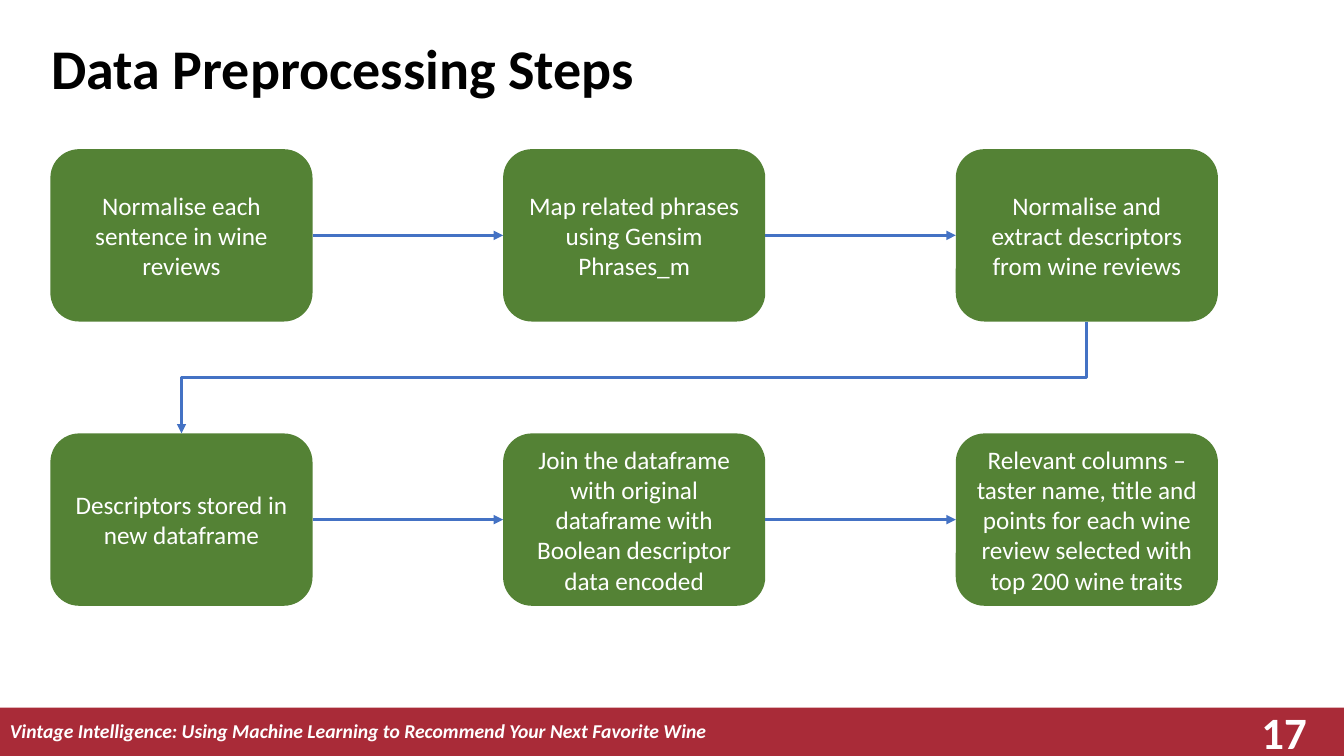
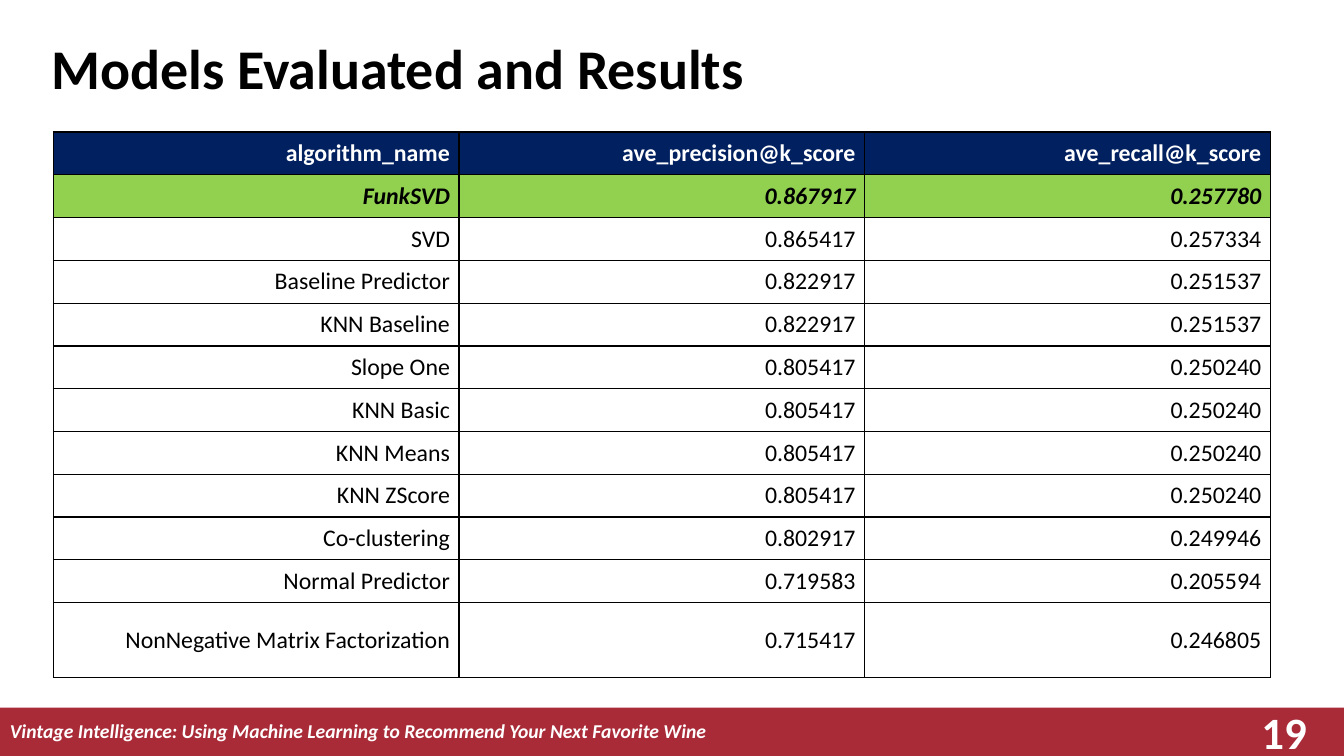
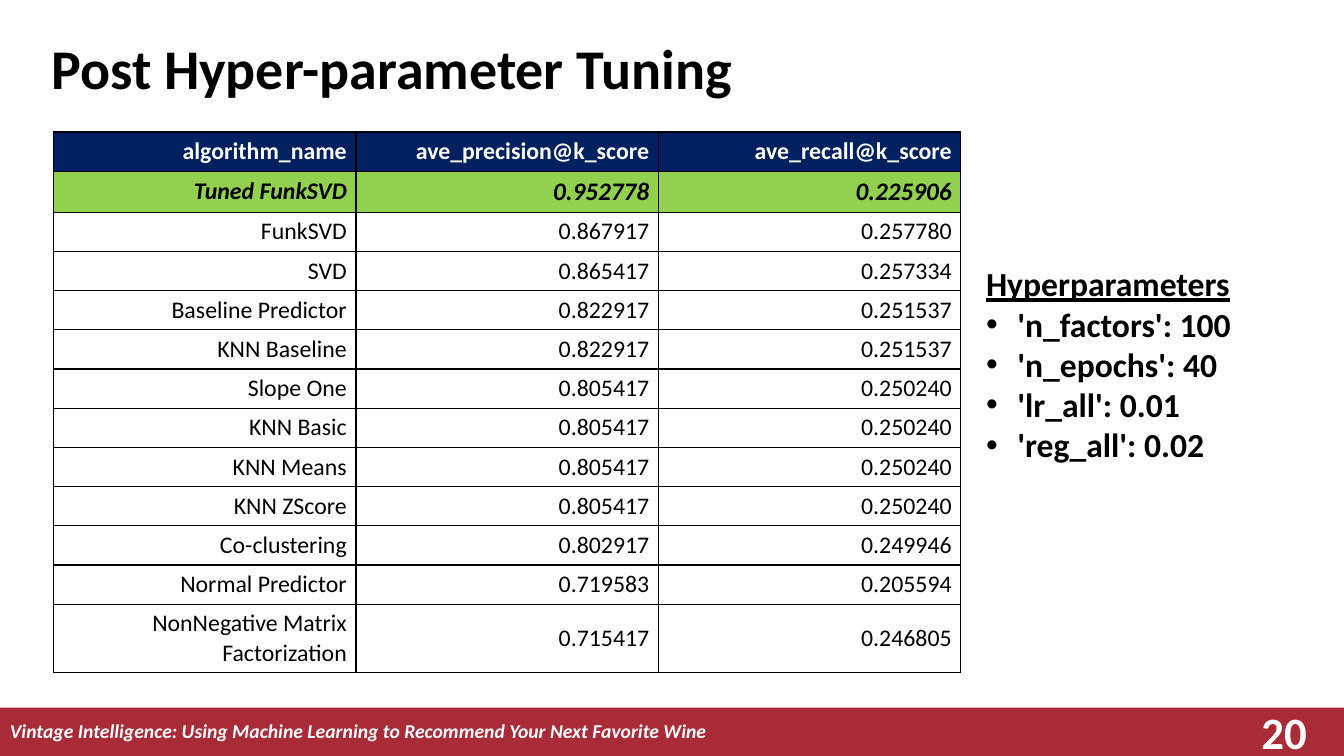
import dataclasses
import itertools

import pptx
import pptx.dml.color
import pptx.enum.shapes
import pptx.enum.text
import pptx.oxml.ns
import pptx.util
from pptx.util import Inches

ALIGN = pptx.enum.text.PP_ALIGN
ANCHOR = pptx.enum.text.MSO_ANCHOR
SHAPE = pptx.enum.shapes.MSO_SHAPE
LINK = pptx.enum.shapes.MSO_CONNECTOR
TOP, LEFT, BOTTOM, RIGHT = range(4)


@dataclasses.dataclass(frozen=True)
class Theme:
    font: str = "Calibri"
    black: str = "000000"
    white: str = "FFFFFF"
    band: str = "A92B38"
    step: str = "548235"
    arrow: str = "4472C4"
    head: str = "002060"
    best: str = "92D050"
    title: int = 40
    number: int = 32
    list: int = 24
    label: int = 18
    cell: int = 17
    footer: int = 14
    stroke: float = 2.25


THEME = Theme()
WIDTH, HEIGHT = 13.33, 7.5
BAND = (0, 7.02, WIDTH, 0.48)
FOOTER = ("Vintage Intelligence: Using Machine Learning "
          "to Recommend Your Next Favorite Wine")

STEPS = [
    ["Normalise each sentence in wine reviews",
     "Map related phrases using Gensim Phrases_m",
     "Normalise and extract descriptors from wine reviews"],
    ["Descriptors stored in new dataframe",
     "Join the dataframe with original dataframe with Boolean descriptor "
     "data encoded",
     "Relevant columns – taster name, title and points for each wine review "
     "selected with top 200 wine traits"],
]
HEADS = ("algorithm_name", "ave_precision@k_score", "ave_recall@k_score")
SCORES = [
    ("FunkSVD", "0.867917", "0.257780"),
    ("SVD", "0.865417", "0.257334"),
    ("Baseline Predictor", "0.822917", "0.251537"),
    ("KNN Baseline", "0.822917", "0.251537"),
    ("Slope One", "0.805417", "0.250240"),
    ("KNN Basic", "0.805417", "0.250240"),
    ("KNN Means", "0.805417", "0.250240"),
    ("KNN ZScore", "0.805417", "0.250240"),
    ("Co-clustering", "0.802917", "0.249946"),
    ("Normal Predictor", "0.719583", "0.205594"),
    ("NonNegative Matrix Factorization", "0.715417", "0.246805"),
]
TUNED = ("Tuned FunkSVD", "0.952778", "0.225906")
PARAMS = ["'n_factors': 100", "'n_epochs': 40", "'lr_all': 0.01",
          "'reg_all': 0.02"]


def color(code):
    return pptx.dml.color.RGBColor.from_string(code)


def inches(box):
    return [Inches(value) for value in box]


def paint(part, code):
    part.fill.solid()
    part.fill.fore_color.rgb = color(code)


def child(parent, tag, **attrs):
    """Append a drawing element with the given attributes."""
    node = parent.makeelement(pptx.oxml.ns.qn(tag), attrs)
    parent.append(node)
    return node


def write(para, text, size, code, bold=False, italic=False, under=False,
          align=ALIGN.LEFT):
    para.alignment = align
    run = para.add_run()
    run.text = text
    font = run.font
    font.name, font.size = THEME.font, pptx.util.Pt(size)
    font.bold, font.italic, font.underline = bold, italic, under
    font.color.rgb = color(code)


def frame(shape, anchor):
    """Set up the text frame of a shape and return its first paragraph."""
    text = shape.text_frame
    text.word_wrap = True
    text.auto_size = pptx.enum.text.MSO_AUTO_SIZE.NONE
    text.vertical_anchor = anchor
    return text.paragraphs[0]


def place(shape, box):
    shape.left, shape.top, shape.width, shape.height = inches(box)


def panel(slide, kind, box, fill):
    shape = slide.shapes.add_shape(kind, *inches(box))
    shape.shadow.inherit = False
    paint(shape, fill)
    shape.line.fill.background()
    return shape


def footer(slide, box, number):
    left, top, width, height = box
    band = panel(slide, SHAPE.RECTANGLE, box, THEME.band)
    para = frame(band, ANCHOR.MIDDLE)
    para.line_spacing, para.space_after = 0.9, pptx.util.Pt(6)
    write(para, FOOTER, THEME.footer, THEME.white, bold=True, italic=True)
    spot = (left + width - 1.14, top + 0.04, 0.87, 0.4)
    page = slide.shapes.add_textbox(*inches(spot))
    write(frame(page, ANCHOR.MIDDLE), str(number), THEME.number, THEME.white,
          bold=True, align=ALIGN.RIGHT)


def start(deck, layout, title, number):
    """Add a slide with its title and footer."""
    slide = deck.slides.add_slide(deck.slide_layouts.get_by_name(layout))
    footer(slide, BAND, number)
    holder = slide.shapes.title
    place(holder, (0.41, 0.28, 10.15, 0.77))
    write(frame(holder, ANCHOR.TOP), title, THEME.title, THEME.black,
          bold=True)
    return slide


def join(slide, kind, first, out, second, into):
    """Draw an arrow between the given sides of two boxes."""
    link = slide.shapes.add_connector(kind, 0, 0, 0, 0)
    link.begin_connect(first, out)
    link.end_connect(second, into)
    link.line.color.rgb = color(THEME.arrow)
    link.line.width = pptx.util.Pt(THEME.stroke)
    child(link.line._get_or_add_ln(), "a:tailEnd", type="triangle")
    child(link.element.spPr, "a:effectLst")
    return link


def turn(link):
    """Turn an elbow by 90 degrees so it leaves downward, ending lower left."""
    wide, high = link.width, link.height
    mid, centre = link.left + wide // 2, link.top + high // 2
    link.left, link.top = mid - high // 2, centre - wide // 2
    link.width, link.height = high, wide
    form = link.element.spPr.find(pptx.oxml.ns.qn("a:xfrm"))
    form.attrib.pop("flipH", None)
    form.set("rot", str(90 * 60000))


def flow(slide, box, rows, size):
    """Spread steps over a box in a grid, joined in reading order."""
    left, top, width, height = box
    wide, high = size
    across = (width - wide) / (len(rows[0]) - 1)
    down = (height - high) / (len(rows) - 1)
    grid = []
    for row, labels in enumerate(rows):
        line = []
        for col, label in enumerate(labels):
            spot = (left + col * across, top + row * down, wide, high)
            step = panel(slide, SHAPE.ROUNDED_RECTANGLE, spot, THEME.step)
            write(frame(step, ANCHOR.MIDDLE), label, THEME.label, THEME.white,
                  align=ALIGN.CENTER)
            line.append(step)
        for first, second in itertools.pairwise(line):
            join(slide, LINK.STRAIGHT, first, RIGHT, second, LEFT)
        grid.append(line)
    for upper, lower in itertools.pairwise(grid):
        turn(join(slide, LINK.ELBOW, upper[-1], BOTTOM, lower[0], TOP))


def border(cell):
    props = cell._tc.get_or_add_tcPr()
    for spot, side in enumerate(("a:lnL", "a:lnR", "a:lnT", "a:lnB")):
        edge = child(props, side, w=str(pptx.util.Pt(1)))
        child(child(edge, "a:solidFill"), "a:srgbClr", val=THEME.black)
        props.insert(spot, edge)


def scores(slide, box, rows, last, best):
    """Fill a box with a score table; best is the size of the top scores."""
    cells = [HEADS, *rows]
    count = len(cells)
    table = slide.shapes.add_table(count, len(HEADS), *inches(box)).table
    table.first_row = table.horz_banding = False
    for col in table.columns:
        col.width = Inches(box[2] / len(HEADS))
    for row in table.rows:
        row.height = Inches((box[3] - last) / (count - 1))
    table.rows[count - 1].height = Inches(last)
    for row, values in enumerate(cells):
        fill = {0: THEME.head, 1: THEME.best}.get(row, THEME.white)
        for col, value in enumerate(values):
            cell = table.cell(row, col)
            paint(cell, fill)
            border(cell)
            cell.vertical_anchor = ANCHOR.MIDDLE
            cell.margin_left = cell.margin_right = Inches(0.09)
            write(cell.text_frame.paragraphs[0], value,
                  best if row == 1 and col else THEME.cell,
                  THEME.black if row else THEME.white,
                  bold=row < 2, italic=row == 1, align=ALIGN.RIGHT)


def params(slide, box, head, items):
    """Put an underlined heading and its bullets in the body placeholder."""
    body = slide.placeholders[1]
    place(body, box)
    para = frame(body, ANCHOR.TOP)
    for row, text in enumerate([head, *items]):
        if row:
            para = body.text_frame.add_paragraph()
        para.space_before = pptx.util.Pt(0)
        props = para._p.get_or_add_pPr()
        indent = Inches(0.31) if row else 0
        props.set("marL", str(indent))
        props.set("indent", str(-indent))
        if row:
            child(props, "a:buFont", typeface="Arial")
            child(props, "a:buChar", char="•")
        else:
            child(props, "a:buNone")
        write(para, text, THEME.list, THEME.black, bold=True, under=row == 0)


def main():
    deck = pptx.Presentation()
    deck.slide_width, deck.slide_height = Inches(WIDTH), Inches(HEIGHT)

    slide = start(deck, "Title Only", "Data Preprocessing Steps", 17)
    flow(slide, (0.5, 1.48, 11.58, 4.53), STEPS, (2.6, 1.71))

    slide = start(deck, "Title Only", "Models Evaluated and Results", 19)
    scores(slide, (0.53, 1.31, 12.07, 5.41), SCORES, 0.74, THEME.cell)

    slide = start(deck, "Title and Content", "Post Hyper-parameter Tuning", 20)
    scores(slide, (0.53, 1.31, 9, 5.31), [TUNED, *SCORES], 0.67, THEME.label)
    params(slide, (9.68, 2.56, 3.55, 2.12), "Hyperparameters", PARAMS)

    deck.save("out.pptx")


if __name__ == "__main__":
    main()
